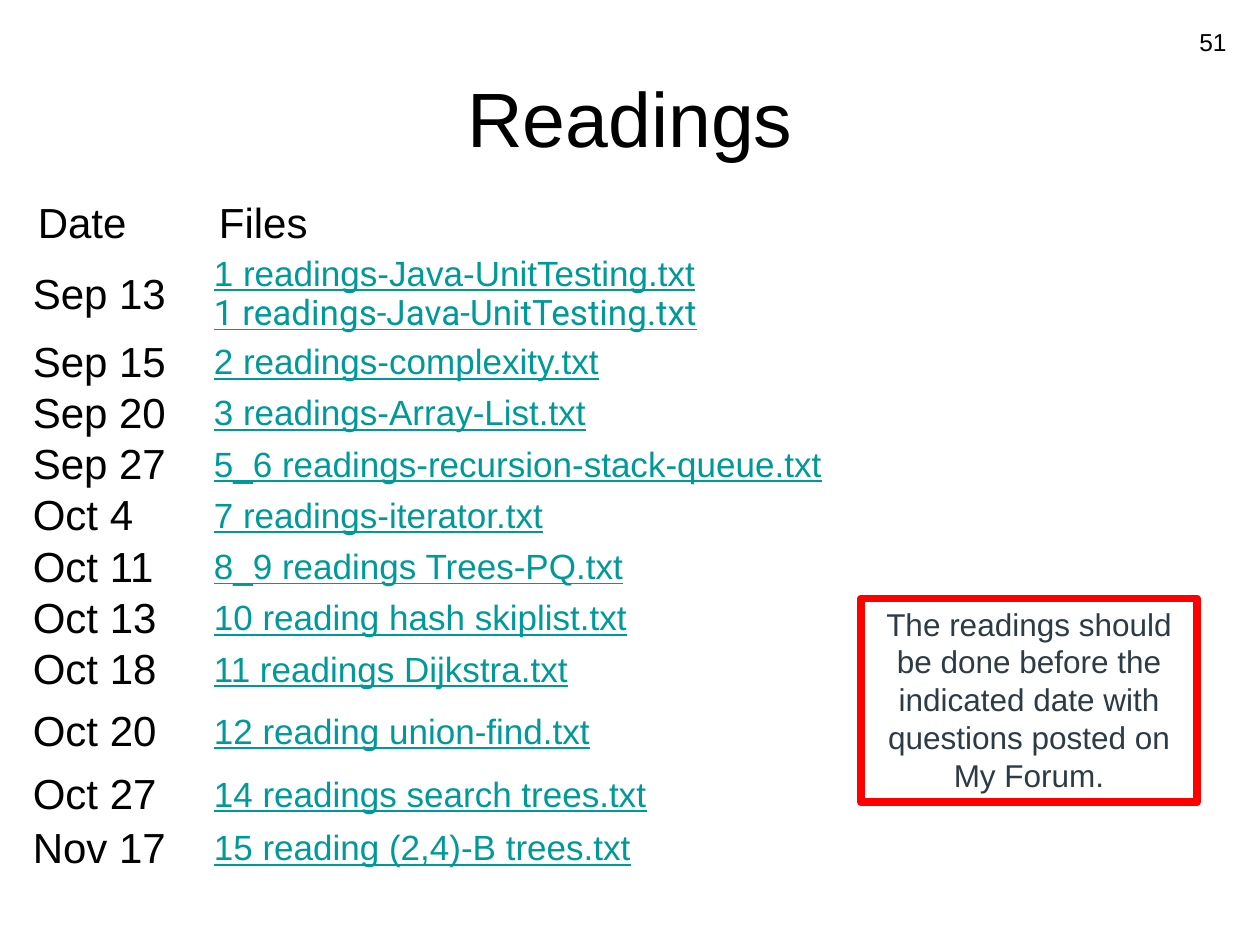
from pptx import Presentation
from pptx.dml.color import RGBColor
from pptx.enum import shapes, text
from pptx.oxml import ns
from pptx.util import Pt

BLACK, TEAL, RED, SLATE = "000000", "009999", "FF0000", "2D3B45"
PLAIN_TABLE_STYLE = "{2D5ABB26-0587-4C30-8999-92F81FD0307C}"


def color(value):
    """Return the colour for a hex string."""
    return RGBColor.from_string(value)


def add_span(para, words, size, ink=BLACK, font="Arial", underline=None):
    """Append one formatted run to a paragraph."""
    span = para.add_run()
    span.text = words
    span.font.size = Pt(size)
    span.font.name = font
    span.font.color.rgb = color(ink)
    span.font.underline = underline


deck = Presentation()
deck.slide_width, deck.slide_height = Pt(720), Pt(540)
page = deck.slides.add_slide(deck.slide_layouts[5])

# Title and page number
title = page.shapes.title
title.left, title.top, title.width, title.height = Pt(36), Pt(21.6), Pt(648), Pt(90)
title.text_frame.vertical_anchor = text.MSO_ANCHOR.MIDDLE
title_para = title.text_frame.paragraphs[0]
title_para.alignment = text.PP_ALIGN.CENTER
add_span(title_para, "Readings", 44)

number_box = page.shapes.add_textbox(Pt(540), Pt(12), Pt(168), Pt(37.5))
number_box.text_frame.word_wrap = True
number_para = number_box.text_frame.paragraphs[0]
number_para.alignment = text.PP_ALIGN.RIGHT
add_span(number_para, "51", 14)

# Reading schedule: date, file, row height
NORMAL_ROW = 28.2
readings = [
    ("Date", "Files", 32.4),
    ("Sep 13", "1 readings-Java-UnitTesting.txt", 47.4),
    ("Sep 15", "2 readings-complexity.txt", NORMAL_ROW),
    ("Sep 20", "3 readings-Array-List.txt", NORMAL_ROW),
    ("Sep 27", "5_6 readings-recursion-stack-queue.txt", NORMAL_ROW),
    ("Oct 4", "7 readings-iterator.txt", NORMAL_ROW),
    ("Oct 11", "8_9 readings Trees-PQ.txt", NORMAL_ROW),
    ("Oct 13", "10 reading hash skiplist.txt", NORMAL_ROW),
    ("Oct 18", "11 readings Dijkstra.txt", NORMAL_ROW),
    ("Oct 20", "12 reading union-find.txt", 41.8),
    ("Oct 27", "14 readings search trees.txt", 30.2),
    ("Nov 17", "15 reading (2,4)-B trees.txt", 31),
]
table_height = sum(height for _, _, height in readings)
table_frame = page.shapes.add_table(
    len(readings), 2, Pt(18), Pt(111.6), Pt(690), Pt(table_height))
for style in table_frame.element.iter(ns.qn("a:tableStyleId")):
    style.text = PLAIN_TABLE_STYLE
schedule = table_frame.table
schedule.first_row = schedule.horz_banding = False
schedule.columns[0].width, schedule.columns[1].width = Pt(103.5), Pt(586.5)

for row, (date, file_name, height) in enumerate(readings):
    schedule.rows[row].height = Pt(height)
    side, edge = (3.6, 1.8) if row == 0 else (0.75, 0.25)
    for column, words in enumerate((date, file_name)):
        cell = schedule.cell(row, column)
        cell.fill.background()
        cell.vertical_anchor = text.MSO_ANCHOR.MIDDLE
        cell.margin_left = cell.margin_right = Pt(side)
        cell.margin_top = cell.margin_bottom = Pt(edge)
        para = cell.text_frame.paragraphs[0]
        if row == 0 or column == 0:
            add_span(para, words, 24)
            continue
        add_span(para, words, 20, TEAL, underline=True)
        if row == 1:
            para.add_line_break()
            add_span(para, words, 20, TEAL, "Roboto", True)

# Reminder
reminder = page.shapes.add_shape(
    shapes.MSO_SHAPE.RECTANGLE, Pt(492), Pt(342), Pt(192), Pt(116.5))
reminder.shadow.inherit = False
reminder.fill.background()
reminder.line.color.rgb = color(RED)
reminder.line.width = Pt(4.5)
reminder.text_frame.word_wrap = True
reminder.text_frame.auto_size = text.MSO_AUTO_SIZE.SHAPE_TO_FIT_TEXT
reminder.text_frame.vertical_anchor = text.MSO_ANCHOR.TOP
reminder_para = reminder.text_frame.paragraphs[0]
reminder_para.alignment = text.PP_ALIGN.CENTER
add_span(reminder_para, "The readings should be done before the indicated date "
         "with questions posted on My Forum.", 18, SLATE)

deck.save("out.pptx")
